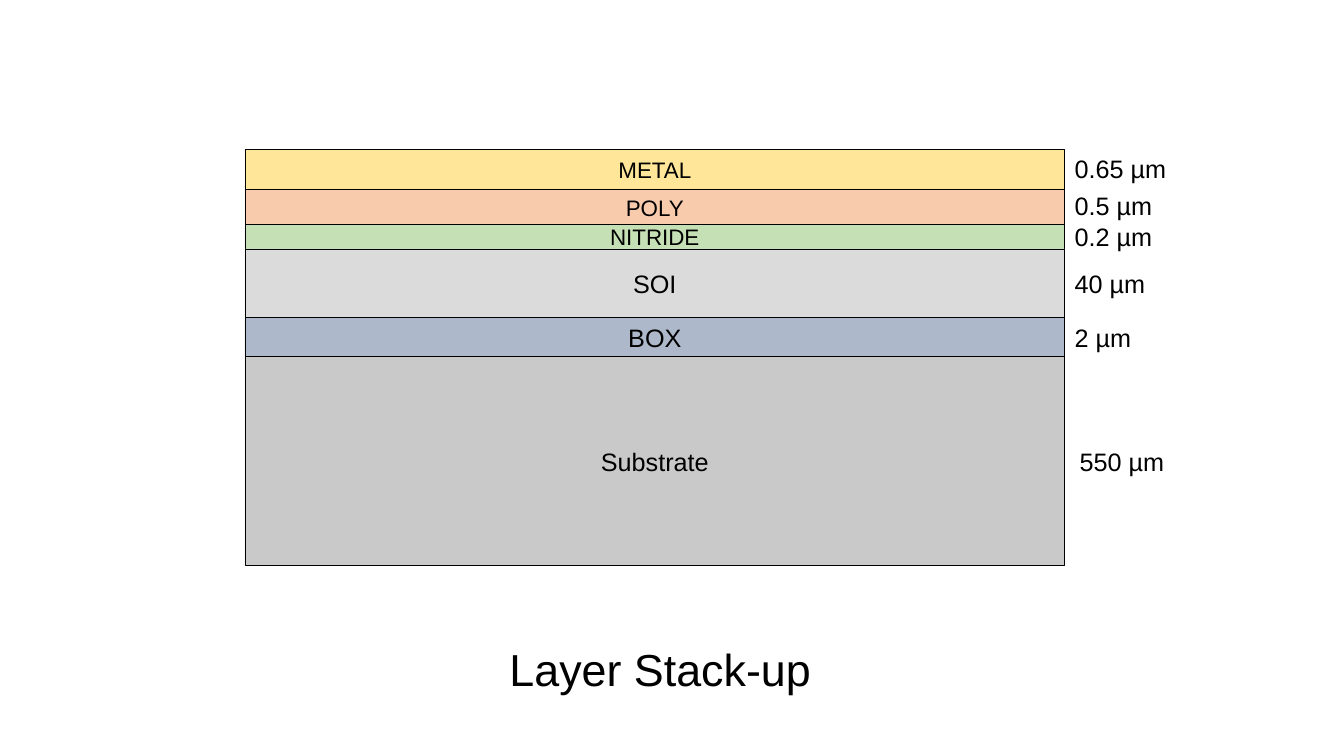
from pptx import Presentation
from pptx.dml.color import RGBColor
from pptx.enum.shapes import MSO_SHAPE
from pptx.enum.text import MSO_ANCHOR, MSO_AUTO_SIZE, PP_ALIGN
from pptx.util import Inches, Pt

RECTANGLE = MSO_SHAPE.RECTANGLE
MIDDLE = MSO_ANCHOR.MIDDLE
LEFT, CENTER = PP_ALIGN.LEFT, PP_ALIGN.CENTER
FIT_SHAPE = MSO_AUTO_SIZE.SHAPE_TO_FIT_TEXT

FONT = "Arial"
COLORS = {
    "ink": "000000",
    "METAL": "FFE699",
    "POLY": "F8CBAD",
    "NITRIDE": "C5E0B4",
    "SOI": "DBDBDB",
    "BOX": "ADB9CA",
    "Substrate": "C9C9C9",
}

CAPTION = "Layer Stack-up"
# Top to bottom: name, thickness, drawn height, name size, thickness label shift (x, y)
LAYERS = [
    ("METAL", "0.65 µm", 0.40, 16, (0, -0.01)),
    ("POLY", "0.5 µm", 0.35, 16, (0, -0.02)),
    ("NITRIDE", "0.2 µm", 0.24, 16, (0, 0)),
    ("SOI", "40 µm", 0.68, 18, (0, 0)),
    ("BOX", "2 µm", 0.39, 18, (0, 0)),
    ("Substrate", "550 µm", 2.07, 18, (0.05, 0)),
]

STACK_LEFT, STACK_TOP, STACK_WIDTH = 2.43, 1.48, 8.13
LABEL_WIDTH, LABEL_HEIGHT = 1.22, 0.4


def color(name):
    return RGBColor.from_string(COLORS[name])


def write(shape, text, size, align):
    frame = shape.text_frame
    frame.word_wrap = True
    frame.text = text
    paragraph = frame.paragraphs[0]
    paragraph.alignment = align
    font = paragraph.runs[0].font
    font.name, font.size = FONT, Pt(size)
    font.color.rgb = color("ink")


def add_layer(slide, name, top, height, size):
    layer = slide.shapes.add_shape(
        RECTANGLE, Inches(STACK_LEFT), Inches(top), Inches(STACK_WIDTH), Inches(height))
    layer.shadow.inherit = False
    layer.fill.solid()
    layer.fill.fore_color.rgb = color(name)
    layer.line.color.rgb = color("ink")
    layer.line.width = Pt(0.5)
    layer.text_frame.vertical_anchor = MIDDLE
    write(layer, name, size, CENTER)


def add_text(slide, text, left, top, width, height, size, align):
    box = slide.shapes.add_textbox(Inches(left), Inches(top), Inches(width), Inches(height))
    write(box, text, size, align)
    box.text_frame.auto_size = FIT_SHAPE


def main():
    prs = Presentation()
    prs.slide_width, prs.slide_height = Inches(13.33), Inches(7.5)
    slide = prs.slides.add_slide(prs.slide_layouts[6])

    top = STACK_TOP
    for name, thickness, height, size, (shift_x, shift_y) in LAYERS:
        add_layer(slide, name, top, height, size)
        label_left = STACK_LEFT + STACK_WIDTH + shift_x
        label_top = top + (height - LABEL_HEIGHT) / 2 + shift_y
        add_text(slide, thickness, label_left, label_top, LABEL_WIDTH, LABEL_HEIGHT, 18, LEFT)
        top += height

    add_text(slide, CAPTION, 3.75, 6.32, 5.6, 0.64, 32, CENTER)
    prs.save("out.pptx")


if __name__ == "__main__":
    main()
